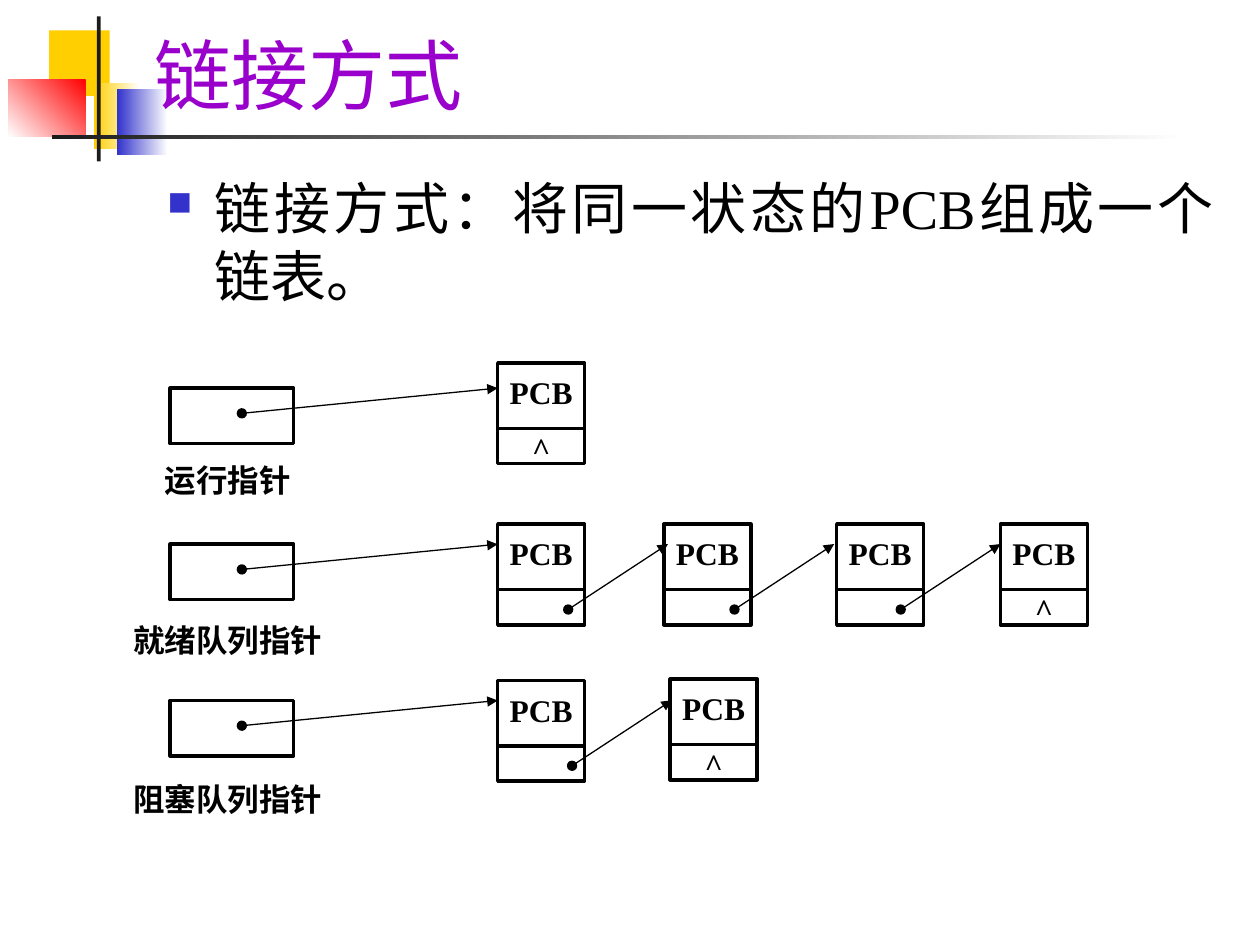
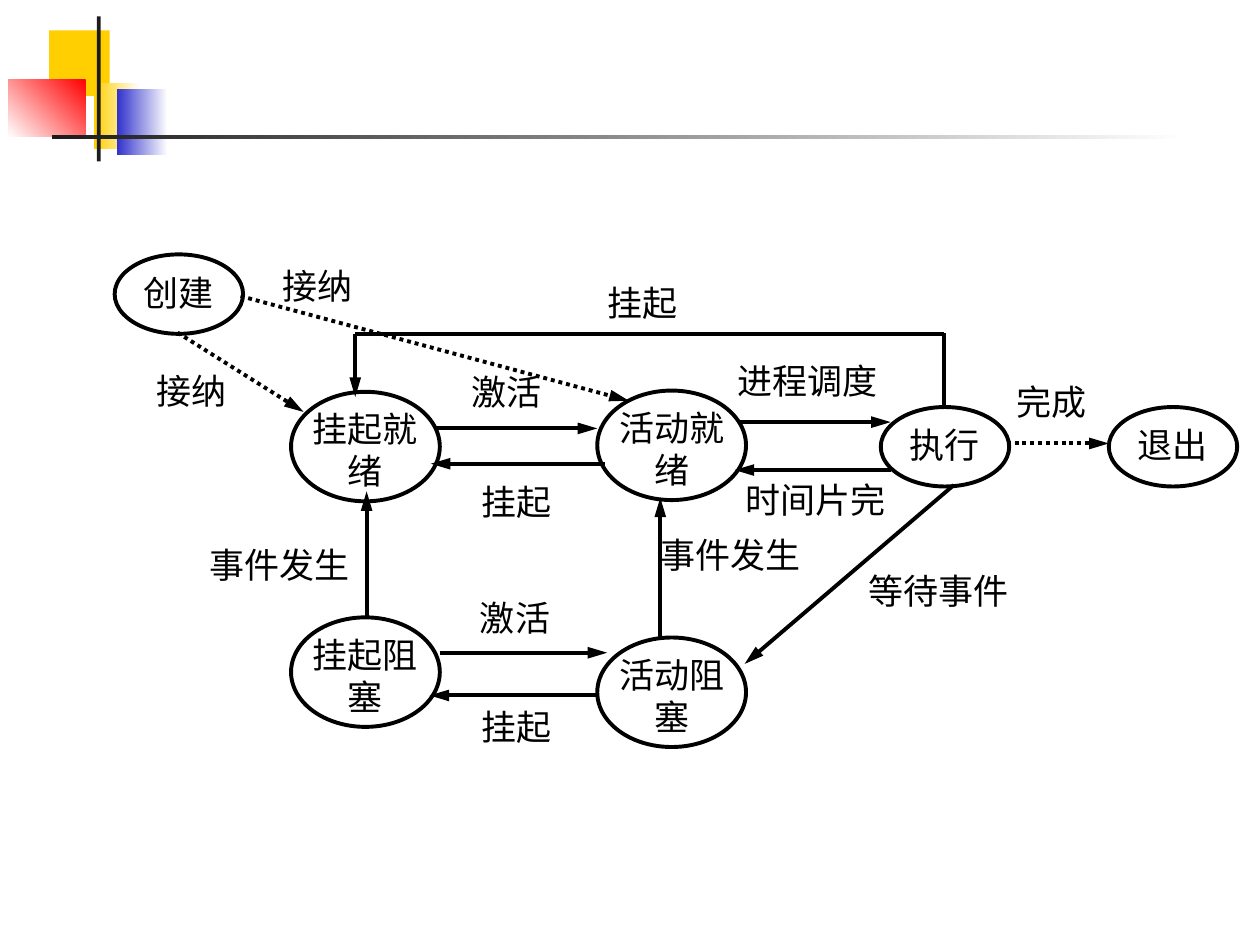
from lxml import etree
from pptx import Presentation
from pptx.dml.color import RGBColor
from pptx.enum.dml import MSO_LINE
from pptx.enum.shapes import MSO_CONNECTOR, MSO_SHAPE
from pptx.enum.text import MSO_ANCHOR, PP_ALIGN
from pptx.oxml.ns import qn
from pptx.util import Pt

RECT, OVAL = MSO_SHAPE.RECTANGLE, MSO_SHAPE.OVAL
STRAIGHT = MSO_CONNECTOR.STRAIGHT
DOTS = MSO_LINE.ROUND_DOT
TOP, BOTTOM = MSO_ANCHOR.TOP, MSO_ANCHOR.BOTTOM
LEFT, CENTER, JUSTIFY = PP_ALIGN.LEFT, PP_ALIGN.CENTER, PP_ALIGN.JUSTIFY

FONT = "Times New Roman"
HEX = {
    "white": "FFFFFF", "black": "000000", "ink": "1C1C1C", "gold": "FFCF01",
    "blue": "3333CC", "red": "FF0000", "purple": "9900CC",
}

# Corner motif: box, fill colours, gradient angle
MOTIF = [
    ((28.1, 17.4, 34.6, 37.4), ["gold"], 0),
    ((54, 47.5, 25.9, 37.4), ["white", "gold"], 180),
    ((67, 51.1, 28.8, 37.4), ["white", "blue"], 180),
    ((5, 45.2, 43.9, 33.1), ["red", "white"], 225),
    ((55.4, 9.4, 2.2, 82.8), ["ink"], 0),
    ((30, 77, 648, 2.2), ["white", "ink"], 180),
]

TITLE = "链接方式"
BODY = "链接方式：将同一状态的PCB组成一个链表。"

# Queues: label and its place, pointer top, (left, top) of each PCB, first link's left
QUEUES = [
    ("运行指针", (94.3, 263.5), 221.8, [(284.4, 207.4)], 0),
    ("就绪队列指针", (76.3, 355), 311,
     [(284.4, 299.5), (379.4, 299.5), (478.1, 299.5), (571.7, 299.5)], 324.7),
    ("阻塞队列指针", (76.3, 445.7), 400.3, [(284.4, 388.8), (383, 388.1)], 326.9),
]
NODE_W, NODE_H, SPLIT = 49.7, 57.6, 37.4
LINK_STEP, LINK_W, LINK_H = 95, 57, 37.4

BIG, SMALL = (85, 62.6), (73.4, 45.4)
STATES = [
    ("执行", (503.3, 232.6), SMALL),
    ("活动就绪", (341.3, 223.2), BIG),
    ("活动阻塞", (341.3, 364.3), BIG),
    ("挂起就绪", (166.3, 223.9), BIG),
    ("挂起阻塞", (166.3, 352.8), BIG),
    ("创建", (65.5, 145.4), SMALL),
    ("退出", (633.6, 232.6), SMALL),
]
EVENTS = [
    ("进程调度", 421.2, 205.2), ("时间片完", 426.2, 273.6),
    ("等待事件", 496.1, 325.4), ("挂起", 275, 274.3),
    ("事件发生", 377.3, 304.6), ("挂起", 347, 160.6),
    ("激活", 269.3, 211.7), ("挂起", 275, 403.2),
    ("激活", 274.3, 340.6), ("事件发生", 119.5, 310.3),
    ("接纳", 161.3, 151.2), ("接纳", 89.3, 211), ("完成", 581, 217.4),
]
MOVES = [
    ((422.6, 241.2), (509, 241.2)), ((509, 268.6), (419.8, 268.6)),
    ((545, 277.2), (425.5, 379.4)), ((377.3, 364.3), (377.3, 284.4)),
    ((345.6, 265), (246.2, 265)), ((249.1, 244.8), (341.3, 244.8)),
    ((341.3, 397.4), (245.5, 397.4)), ((251.3, 373), (347, 373)),
    ((209.5, 352.1), (209.5, 280.8)), ((203, 190.8), (203, 226.8)),
]
DOTTED = [
    ((575.3, 253.4), (633.6, 253.4)),
    ((101.5, 190.1), (173.5, 235.4)),
    ((137.5, 169.2), (359.3, 229)),
]
PLAIN = [((539.3, 232.6), (539.3, 190.1)), ((203, 190.8), (539.3, 190.8))]


def color(name):
    return RGBColor.from_string(HEX[name])


def write(shape, *paras, size, ink="black", bold=False, align=JUSTIFY,
          anchor=TOP, pad=(0, 0, 0, 0), gap=0, bullet=None):
    """Fill a shape with paragraphs; gap is the space before all but the first."""
    frame = shape.text_frame
    frame.word_wrap = True
    frame.vertical_anchor = anchor
    (frame.margin_left, frame.margin_top,
     frame.margin_right, frame.margin_bottom) = map(Pt, pad)
    for i, text in enumerate(paras):
        para = frame.add_paragraph() if i else frame.paragraphs[0]
        para.alignment = align
        if bullet:
            add_bullet(para, *bullet)
        if i:
            para.space_before = Pt(gap)
        run = para.add_run()
        run.text = text
        run.font.name, run.font.size, run.font.bold = FONT, Pt(size), bold
        run.font.color.rgb = color(ink)


def add_bullet(para, mark, ink, scale, indent):
    props = para._p.get_or_add_pPr()
    props.set("marL", str(Pt(indent)))
    props.set("indent", str(-Pt(indent)))
    tint = etree.SubElement(props, qn("a:buClr"))
    etree.SubElement(tint, qn("a:srgbClr"), val=HEX[ink])
    etree.SubElement(props, qn("a:buSzPct"), val=str(scale * 1000))
    etree.SubElement(props, qn("a:buChar"), char=mark)


def add_text(slide, box, *paras, **style):
    write(slide.shapes.add_textbox(*map(Pt, box)), *paras, **style)


def add_box(slide, kind, box, fills=("white",), angle=0, width=0):
    shape = slide.shapes.add_shape(kind, *map(Pt, box))
    shape.shadow.inherit = False
    if len(fills) > 1:
        shape.fill.gradient()
        shape.fill.gradient_angle = angle
        for stop, name in zip(shape.fill.gradient_stops, fills):
            stop.color.rgb = color(name)
    else:
        shape.fill.solid()
        shape.fill.fore_color.rgb = color(fills[0])
    if width:
        shape.line.color.rgb = color("black")
        shape.line.width = Pt(width)
    else:
        shape.line.fill.background()
    return shape


def add_line(slide, start, end, width, head=None, tail=None, reach="med", dash=None):
    line = slide.shapes.add_connector(STRAIGHT, *map(Pt, (*start, *end)))
    line.line.color.rgb = color("black")
    line.line.width = Pt(width)
    if dash:
        line.line.dash_style = dash
    props = line._element.spPr
    for tag, kind in (("a:headEnd", head), ("a:tailEnd", tail)):
        if kind:
            etree.SubElement(props.find(qn("a:ln")), qn(tag),
                             type=kind, w="med", len=reach)
    etree.SubElement(props, qn("a:effectLst"))


def add_slide(deck):
    slide = deck.slides.add_slide(deck.slide_layouts[6])
    for box, fills, angle in MOTIF:
        add_box(slide, RECT, box, fills, angle)
    return slide


def add_link(slide, start, end):
    add_line(slide, start, end, 0.75, head="oval", tail="triangle")


def add_node(slide, left, top, last):
    """Draw one PCB; the last of a queue holds the null mark."""
    box = add_box(slide, RECT, (left, top, NODE_W, NODE_H), width=2)
    lines = ("PCB", "^") if last else ("PCB",)
    write(box, *lines, size=18, bold=True, align=CENTER,
          pad=(1.4, 5.8, 1.4, 0.7), gap=10.4)
    add_line(slide, (left, top + SPLIT), (left + NODE_W, top + SPLIT), 2)


def draw_queues(slide):
    add_text(slide, (81.4, 10.1, 613.4, 61.9), TITLE, size=44, ink="purple",
             align=LEFT, anchor=BOTTOM, pad=(7.2, 3.6, 7.2, 3.6))
    add_text(slide, (88.6, 95.8, 612, 103.7), BODY, size=32,
             pad=(7.2, 3.6, 7.2, 3.6), bullet=("■", "blue", 60, 27))
    for label, spot, top, nodes, link in QUEUES:
        add_box(slide, RECT, (97.2, top, 70.6, 31.7), width=2)
        add_text(slide, (*spot, 113, 28.8), label, size=18, bold=True)
        for node in nodes:
            add_node(slide, *node, last=node == nodes[-1])
        add_link(slide, (138.2, top + 14.4), (nodes[0][0], top))
        for i in range(len(nodes) - 1):
            x, y = link + i * LINK_STEP, nodes[0][1] + 48.8
            add_link(slide, (x, y), (x + LINK_W, y - LINK_H))


def draw_states(slide):
    for name, spot, size in STATES:
        oval = add_box(slide, OVAL, (*spot, *size), width=2.25)
        write(oval, name, size=20, align=CENTER,
              pad=(0, 2.9 if size == SMALL else 0, 0, 0))
    for name, left, top in EVENTS:
        add_text(slide, (left, top, 21 * len(name), 30), name, size=20)
    for ends in PLAIN:
        add_line(slide, *ends, 2.25)
    for ends in MOVES:
        add_line(slide, *ends, 2.25, tail="triangle", reach="lg")
    for ends in DOTTED:
        add_line(slide, *ends, 2.25, tail="triangle", reach="lg", dash=DOTS)


def main():
    deck = Presentation()
    deck.slide_width, deck.slide_height = Pt(720), Pt(540)
    for draw in (draw_queues, draw_states):
        draw(add_slide(deck))
    deck.save("out.pptx")


if __name__ == "__main__":
    main()
